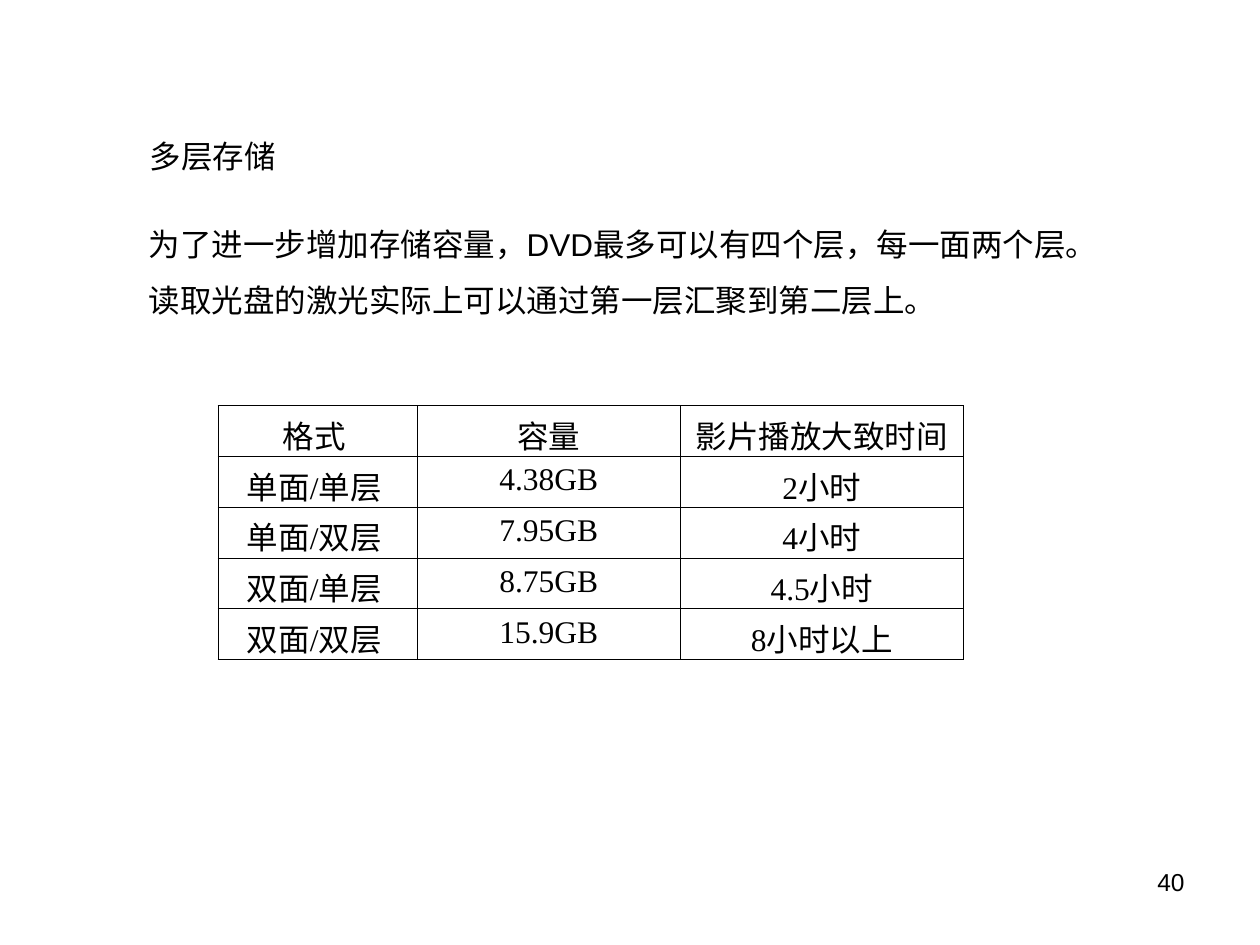
"""Build the slide on multi-layer DVD storage with its capacity table."""
from lxml.etree import SubElement
from pptx import Presentation
from pptx.dml.color import RGBColor
from pptx.enum.text import MSO_ANCHOR, MSO_AUTO_SIZE, PP_ALIGN
from pptx.oxml.ns import qn
from pptx.util import Pt

BLACK = RGBColor(0, 0, 0)
WHITE = RGBColor(255, 255, 255)
BORDER_WIDTH = Pt(0.45)


def format_paragraph(paragraph, text, font_format, alignment=PP_ALIGN.LEFT):
    paragraph.alignment = alignment
    run = paragraph.add_run()
    run.text = text
    run.font.color.rgb = BLACK
    for name, value in font_format.items():
        setattr(run.font, name, value)


def add_borders(cell):
    properties = cell._tc.get_or_add_tcPr()
    for position, side in enumerate(("lnL", "lnR", "lnT", "lnB")):
        line = properties.makeelement(qn(f"a:{side}"), {"w": str(BORDER_WIDTH)})
        fill = SubElement(line, qn("a:solidFill"))
        SubElement(fill, qn("a:srgbClr"), val=str(BLACK))
        properties.insert(position, line)


body_font = {"name": "Arial", "size": Pt(18)}
table_font = {"name": "Times New Roman", "size": Pt(18)}
number_font = {"name": "Arial", "size": Pt(14)}

presentation = Presentation()
presentation.slide_width, presentation.slide_height = Pt(720), Pt(540)
slide = presentation.slides.add_slide(presentation.slide_layouts[5])
slide.background.fill.solid()
slide.background.fill.fore_color.rgb = WHITE

title = slide.shapes.title
title_format = {"left": Pt(78.5), "top": Pt(74.5), "width": Pt(92), "height": Pt(28.8)}
for name, value in title_format.items():
    setattr(title, name, value)
title_frame_format = {
    "word_wrap": True,
    "auto_size": MSO_AUTO_SIZE.NONE,
    "vertical_anchor": MSO_ANCHOR.TOP,
}
for name, value in title_frame_format.items():
    setattr(title.text_frame, name, value)
format_paragraph(title.text_frame.paragraphs[0], "多层存储", body_font)

body = slide.shapes.add_textbox(Pt(77.8), Pt(114), Pt(565.2), Pt(72))
body.text_frame.word_wrap = False
body.text_frame.vertical_anchor = MSO_ANCHOR.MIDDLE
sentences = (
    "为了进一步增加存储容量，DVD最多可以有四个层，每一面两个层。",
    "读取光盘的激光实际上可以通过第一层汇聚到第二层上。",
)
for index, sentence in enumerate(sentences):
    paragraph = body.text_frame.add_paragraph() if index else body.text_frame.paragraphs[0]
    paragraph.line_spacing = 1.5
    format_paragraph(paragraph, sentence, body_font)

rows = (
    ("格式 ", "容量", "影片播放大致时间"),
    ("单面/单层 ", "4.38GB", "2小时"),
    ("单面/双层 ", "7.95GB", "4小时"),
    ("双面/单层 ", "8.75GB", "4.5小时"),
    ("双面/双层 ", "15.9GB", "8小时以上"),
)
column_widths = (Pt(114), Pt(150), Pt(162))
row_height = Pt(29)
table = slide.shapes.add_table(
    len(rows), len(column_widths), Pt(124.6), Pt(231.8),
    sum(column_widths), row_height * len(rows),
).table
table.first_row = False
table.horz_banding = False
for column, width in zip(table.columns, column_widths):
    column.width = width
for table_row, texts in zip(table.rows, rows):
    table_row.height = row_height
    for cell, text in zip(table_row.cells, texts):
        cell.fill.background()
        add_borders(cell)
        format_paragraph(cell.text_frame.paragraphs[0], text, table_font, PP_ALIGN.CENTER)

page_number = slide.shapes.add_textbox(Pt(516.2), Pt(491.8), Pt(167.8), Pt(37.4))
page_number.text_frame.word_wrap = True
format_paragraph(page_number.text_frame.paragraphs[0], "40", number_font, PP_ALIGN.RIGHT)

presentation.save("out.pptx")
